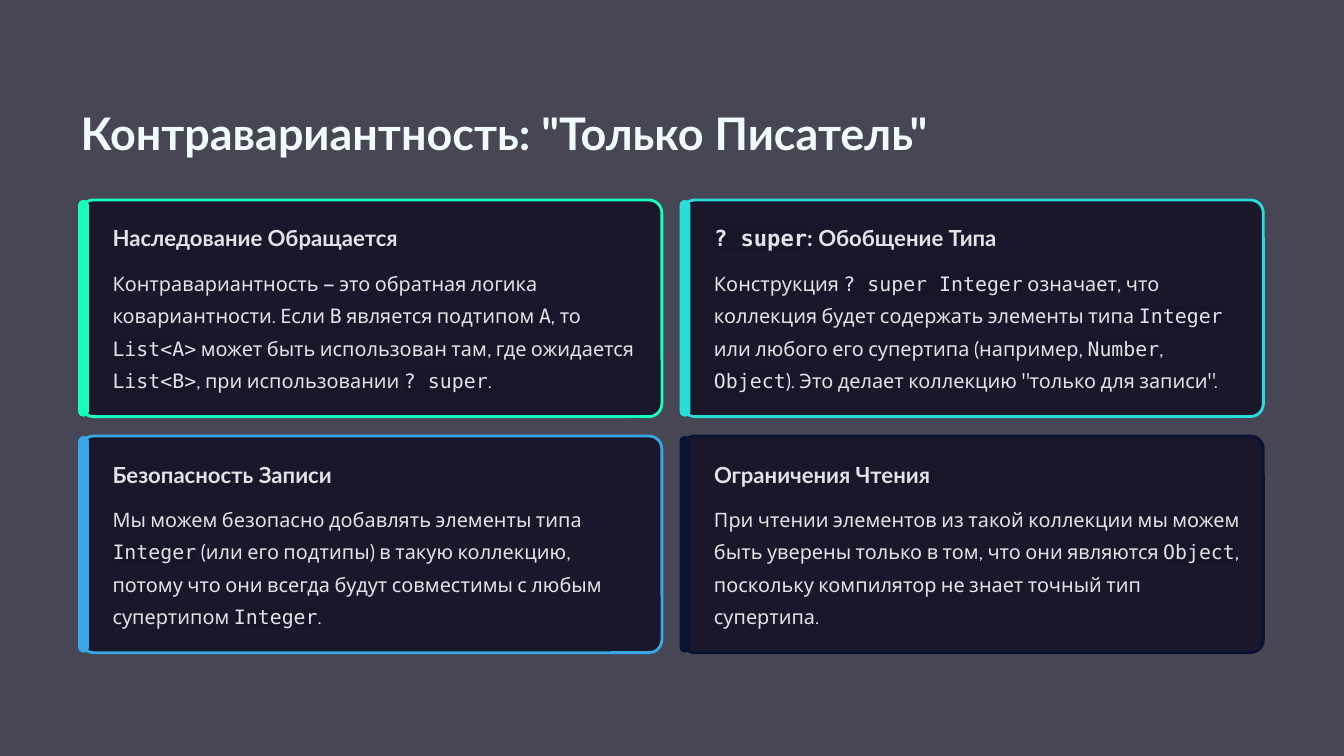
from dataclasses import dataclass

from lxml import etree
from pptx import Presentation
from pptx import util as u
from pptx.dml import color
from pptx.enum import shapes, text
from pptx.oxml import ns

PANEL = "0A081B"
BODY_TEXT = "E0E4E6"
CODE_HIGHLIGHT = "171528"
CODE_FONT = "DejaVu Sans Mono"
LEFT, TOP = 0.96, 2.38
CARD_WIDTH, CARD_HEIGHT = 6.92, 2.58
COLUMN_STEP, ROW_STEP = 7.16, 2.81


@dataclass
class Card:
    heading: str
    body: str
    accent: str


CARDS = [
    Card(
        "Наследование Обращается",
        "Контравариантность — это обратная логика ковариантности. Если `B` является "
        "подтипом `A`, то `List<A>` может быть использован там, где ожидается "
        "`List<B>`, при использовании `? super`.",
        "16FFBB",
    ),
    Card(
        "`? super`: Обобщение Типа",
        "Конструкция `? super Integer` означает, что коллекция будет содержать "
        "элементы типа `Integer` или любого его супертипа (например, `Number`, "
        "`Object`). Это делает коллекцию \"только для записи\".",
        "29DDDA",
    ),
    Card(
        "Безопасность Записи",
        "Мы можем безопасно добавлять элементы типа `Integer` (или его подтипы) в "
        "такую коллекцию, потому что они всегда будут совместимы с любым "
        "супертипом `Integer`.",
        "37A7E7",
    ),
    Card(
        "Ограничения Чтения",
        "При чтении элементов из такой коллекции мы можем быть уверены только в том, "
        "что они являются `Object`, поскольку компилятор не знает точный тип "
        "супертипа.",
        "091231",
    ),
]


def rgb(value: str) -> color.RGBColor:
    return color.RGBColor.from_string(value)


def color_element(parent, tag: str, value: str):
    element = etree.SubElement(parent, ns.qn(tag))
    etree.SubElement(element, ns.qn("a:srgbClr"), val=value)
    return element


def add_text(slide, content: str, left: float, top: float, width: float, height: float,
             *, size: float, font: str, line: float, fill: str = BODY_TEXT,
             bold: bool = False, wrap: bool = False) -> None:
    shape = slide.shapes.add_textbox(
        u.Inches(left), u.Inches(top), u.Inches(width), u.Inches(height))
    frame = shape.text_frame
    frame.word_wrap = wrap
    frame.margin_left = frame.margin_top = frame.margin_right = frame.margin_bottom = 0
    frame.vertical_anchor = text.MSO_ANCHOR.TOP
    paragraph = frame.paragraphs[0]
    paragraph.line_spacing = u.Pt(line)
    for index, part in enumerate(content.split("`")):
        if not part:
            continue
        is_code = index % 2 == 1
        run = paragraph.add_run()
        run.text = part
        run.font.size = u.Pt(size)
        run.font.bold = bold
        run.font.color.rgb = rgb(fill)
        if is_code:
            color_element(run.font._element, "a:highlight", CODE_HIGHLIGHT)
        run.font.name = CODE_FONT if is_code else font


def add_panel(slide, left: float, top: float, width: float, height: float, fill: str,
              *, radius: float, opacity: int = 100, line: str = "") -> None:
    shape = slide.shapes.add_shape(
        shapes.MSO_SHAPE.ROUNDED_RECTANGLE,
        u.Inches(left), u.Inches(top), u.Inches(width), u.Inches(height))
    shape.shadow.inherit = False
    shape.adjustments[0] = radius
    shape.fill.solid()
    shape.fill.fore_color.rgb = rgb(fill)
    if opacity < 100:
        solid = shape._element.spPr.find(ns.qn("a:solidFill"))
        etree.SubElement(solid[0], ns.qn("a:alpha"), val=str(opacity * 1000))
    if line:
        shape.line.color.rgb = rgb(line)
        shape.line.width = u.Pt(2.4)
    else:
        shape.line.fill.background()


def add_card(slide, card: Card, left: float, top: float) -> None:
    add_panel(slide, left, top, CARD_WIDTH, CARD_HEIGHT, PANEL,
              radius=0.06, opacity=75, line=card.accent)
    add_panel(slide, left - 0.03, top, 0.13, CARD_HEIGHT, card.accent, radius=0.5)
    add_text(slide, card.heading, left + 0.38, top + 0.28, 3.82, 0.33,
             size=19, font="Lato", line=24, bold=True)
    add_text(slide, card.body, left + 0.38, top + 0.76, 6.27, 1.54,
             size=17, font="Cabin", line=27.5, wrap=True)


def main() -> None:
    presentation = Presentation()
    presentation.slide_width = u.Inches(16)
    presentation.slide_height = u.Inches(9)
    slide = presentation.slides.add_slide(presentation.slide_layouts[6])
    slide.background.fill.solid()
    slide.background.fill.fore_color.rgb = rgb("474654")
    add_text(slide, "Контравариантность: \"Только Писатель\"", LEFT, 1.23, 11.44, 0.67,
             size=38.5, font="Lato", line=48, fill="F0FCFF", bold=True)
    for index, card in enumerate(CARDS):
        row, column = divmod(index, 2)
        add_card(slide, card, LEFT + column * COLUMN_STEP, TOP + row * ROW_STEP)
    presentation.save("out.pptx")


if __name__ == "__main__":
    main()
